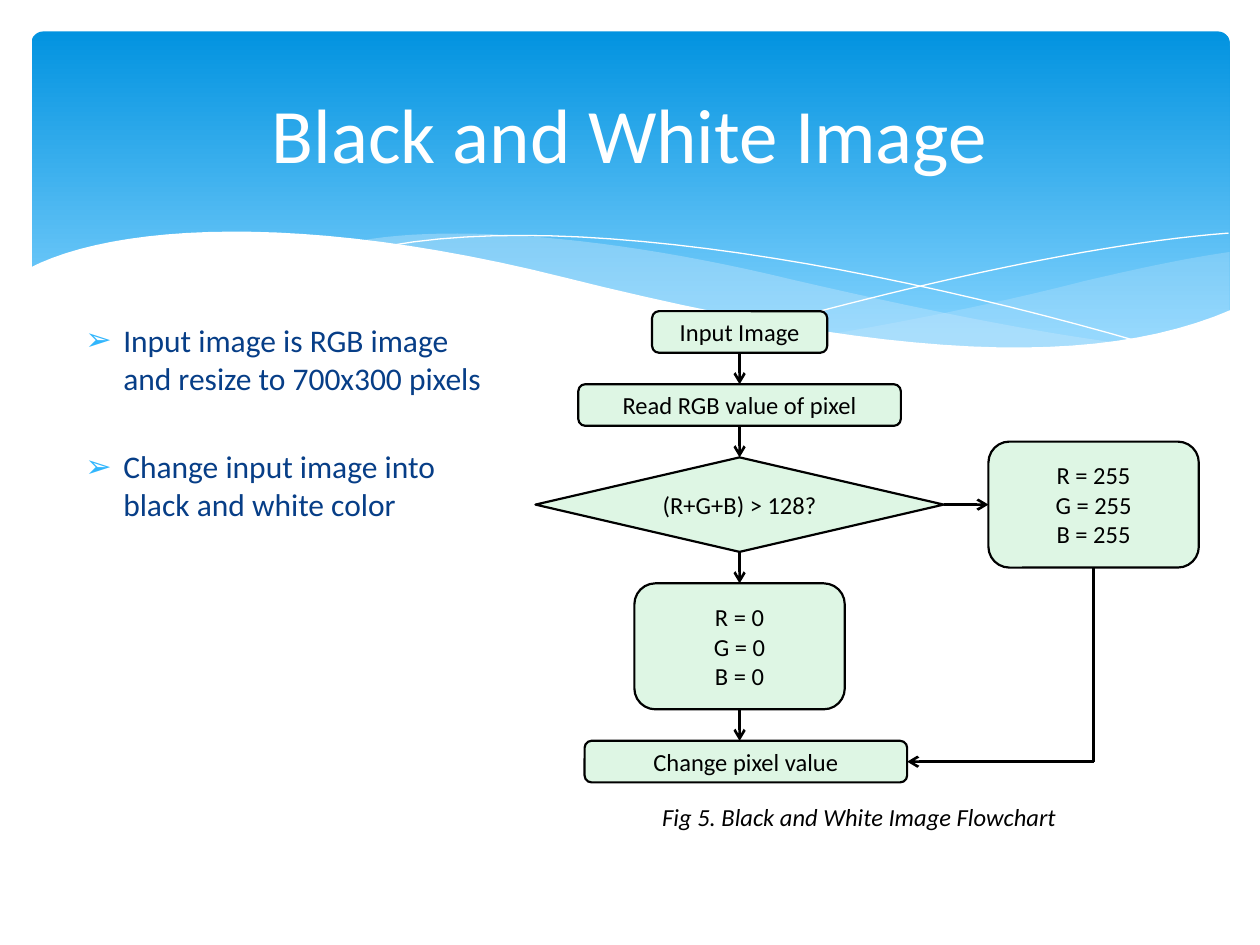
from lxml.etree import SubElement
from pptx import Presentation
from pptx.dml.color import RGBColor
from pptx.enum.shapes import MSO_CONNECTOR as Connector, MSO_SHAPE as Shape
from pptx.enum.text import MSO_ANCHOR as Anchor, PP_ALIGN as Align
from pptx.oxml.ns import qn
from pptx.util import Inches, Pt

SKY, DEEP_SKY, PALE_SKY = "83D3FE", "0293E0", "C6E7FC"
NAVY, BULLET_BLUE, MINT = "073E87", "31B6FD", "DEF6E4"
BLACK, WHITE = "000000", "FFFFFF"


def color(value):
    return RGBColor.from_string(value)


def write(box, text, size, value, align=Align.CENTER, anchor=Anchor.MIDDLE, italic=None):
    frame = box.text_frame
    frame.text = text
    frame.word_wrap = True
    frame.vertical_anchor = anchor
    for para in frame.paragraphs:
        para.alignment = align
        for span in para.runs:
            span.font.name = "Calibri"
            span.font.size = Pt(size)
            span.font.italic = italic
            span.font.color.rgb = color(value)


deck = Presentation()
deck.slide_width = Inches(10)
deck.slide_height = Inches(7.5)
page = deck.slides.add_slide(deck.slide_layouts[6])

banner = page.shapes.add_shape(Shape.ROUNDED_RECTANGLE, Inches(0.25), Inches(0.25), Inches(9.51), Inches(2.7))
banner.adjustments[0] = 0.034
banner.shadow.inherit = False
banner.line.fill.background()
banner.fill.gradient()
banner.fill.gradient_angle = 270
for stop, position, value in zip(banner.fill.gradient_stops, (0, 0.9), (DEEP_SKY, SKY)):
    stop.position = position
    stop.color.rgb = color(value)

right_wave = [
    (9.76, 2), (9.35, 2.06), (9, 2.14),
    (8.61, 2.23), (7.95, 2.4), (7.25, 2.54),
    (6.61, 2.65), (8, 2.87), (9, 2.81),
    (9.76, 2.47),
]
middle_wave = [
    (2.86, 1.91), (3.6, 1.78), (4.85, 1.87),
    (6.29, 2.22), (7.2, 2.43), (8.1, 2.62),
    (8.93, 2.73), (7.8, 2.87), (6.4, 2.69),
    (4.49, 2.22), (3.9, 2.08), (3.4, 1.98),
    (2.86, 1.91),
]
falling_line = [(3.09, 1.95), (4.6, 1.68), (7, 2.12), (9.07, 2.72)]
rising_line = [(6.13, 2.57), (7.3, 2.25), (8.7, 1.93), (9.75, 1.85)]
white_wave = [
    (0.23, 2.13), (0.9, 1.78), (2.4, 1.68),
    (4.47, 2.2), (7.1, 2.86), (8.7, 2.92),
    (9.77, 2.46),
]
white_floor = [(9.77, 3.29), (0.23, 3.29)]
waves = [
    (right_wave, [], PALE_SKY, 29),
    (middle_wave, [], PALE_SKY, 40),
    (falling_line, [], None, None),
    (rising_line, [], None, None),
    (white_wave, white_floor, WHITE, 100),
]
curve_steps = 24
for controls, floor, fill, opacity in waves:
    outline = [controls[0]]
    for first in range(0, len(controls) - 1, 3):
        bend = controls[first:first + 4]
        for count in range(1, curve_steps + 1):
            t = count / curve_steps
            weights = ((1 - t) ** 3, 3 * t * (1 - t) ** 2, 3 * t ** 2 * (1 - t), t ** 3)
            x = sum(weight * point[0] for weight, point in zip(weights, bend))
            y = sum(weight * point[1] for weight, point in zip(weights, bend))
            outline.append((x, y))
    vertices = [(Inches(x), Inches(y)) for x, y in outline + floor]
    builder = page.shapes.build_freeform(*vertices[0])
    builder.add_line_segments(vertices[1:], close=fill is not None)
    wave = builder.convert_to_shape()
    wave.shadow.inherit = False
    if fill:
        wave.line.fill.background()
        wave.fill.solid()
        wave.fill.fore_color.rgb = color(fill)
        tint = wave._element.spPr.find(".//" + qn("a:srgbClr"))
        SubElement(tint, qn("a:alpha"), val=str(opacity * 1000))
    else:
        wave.fill.background()
        wave.line.color.rgb = color(WHITE)
        wave.line.width = Pt(0)

body = page.shapes.add_textbox(Inches(0.58), Inches(2.5), Inches(3.42), Inches(3.13))
advice = ["Input image is RGB image and resize to 700x300 pixels", "Change input image into black and white color"]
write(body, "\n".join(advice), 18, NAVY, Align.LEFT, Anchor.TOP)
for para, gap in zip(body.text_frame.paragraphs, (3.6, 29)):
    para.space_before = Pt(gap)
    props = para._p.get_or_add_pPr()
    props.set("marL", str(Inches(0.3)))
    props.set("indent", str(Inches(-0.3)))
    SubElement(SubElement(props, qn("a:buClr")), qn("a:srgbClr"), val=BULLET_BLUE)
    SubElement(props, qn("a:buFont"), typeface="Calibri")
    SubElement(props, qn("a:buChar"), char="➢")

title = page.shapes.add_textbox(Inches(0.5), Inches(0.37), Inches(9), Inches(1.37))
write(title, "Black and White Image", 44, WHITE)

step_gap = 0.25
bar_height, block_width, block_height = 0.33, 1.67, 1
column = [
    ("input", Shape.ROUNDED_RECTANGLE, 5.87, 1.39, bar_height, "Input Image"),
    ("read", Shape.ROUNDED_RECTANGLE, 5.87, 2.56, bar_height, "Read RGB value of pixel"),
    ("test", Shape.DIAMOND, 5.87, 3.24, 0.75, "(R+G+B) > 128?"),
    ("black", Shape.ROUNDED_RECTANGLE, 5.87, block_width, block_height, "R = 0\nG = 0\nB = 0"),
    ("change", Shape.ROUNDED_RECTANGLE, 5.92, 2.56, bar_height, "Change pixel value"),
]
steps = []
top = 2.47
for name, kind, center, width, height, text in column:
    steps.append((name, kind, center, top + height / 2, width, height, text))
    top += height + step_gap
test_middle = steps[2][3]
steps.append(("white", Shape.ROUNDED_RECTANGLE, 8.68, test_middle, block_width, block_height, "R = 255\nG = 255\nB = 255"))

sides = {}
for name, kind, center, middle, width, height, text in steps:
    left, top = center - width / 2, middle - height / 2
    step = page.shapes.add_shape(kind, Inches(left), Inches(top), Inches(width), Inches(height))
    step.shadow.inherit = False
    step.fill.solid()
    step.fill.fore_color.rgb = color(MINT)
    step.line.color.rgb = color(BLACK)
    step.line.width = Pt(1.25)
    write(step, text, 14, BLACK)
    sides[name] = {
        "top": (center, top),
        "bottom": (center, top + height),
        "left": (left, middle),
        "right": (left + width, middle),
    }

flows = []
for upper, lower in zip(column, column[1:]):
    x, y = sides[upper[0]]["bottom"]
    flows.append(((x, y), (x, sides[lower[0]]["top"][1]), True))
elbow = (sides["white"]["bottom"][0], sides["change"]["right"][1])
flows += [
    (sides["test"]["right"], sides["white"]["left"], True),
    (sides["white"]["bottom"], elbow, False),
    (elbow, sides["change"]["right"], True),
]
for start, end, has_arrow in flows:
    ends = [Inches(length) for length in start + end]
    flow = page.shapes.add_connector(Connector.STRAIGHT, *ends)
    flow.line.color.rgb = color(BLACK)
    flow.line.width = Pt(1.5)
    if has_arrow:
        SubElement(flow.line._get_or_add_ln(), qn("a:tailEnd"), type="arrow")
    SubElement(flow._element.spPr, qn("a:effectLst"))

caption = page.shapes.add_textbox(Inches(4.25), Inches(6.32), Inches(5.14), Inches(0.64))
write(caption, "Fig 5. Black and White Image Flowchart", 14, BLACK, anchor=Anchor.TOP, italic=True)

deck.save("out.pptx")
